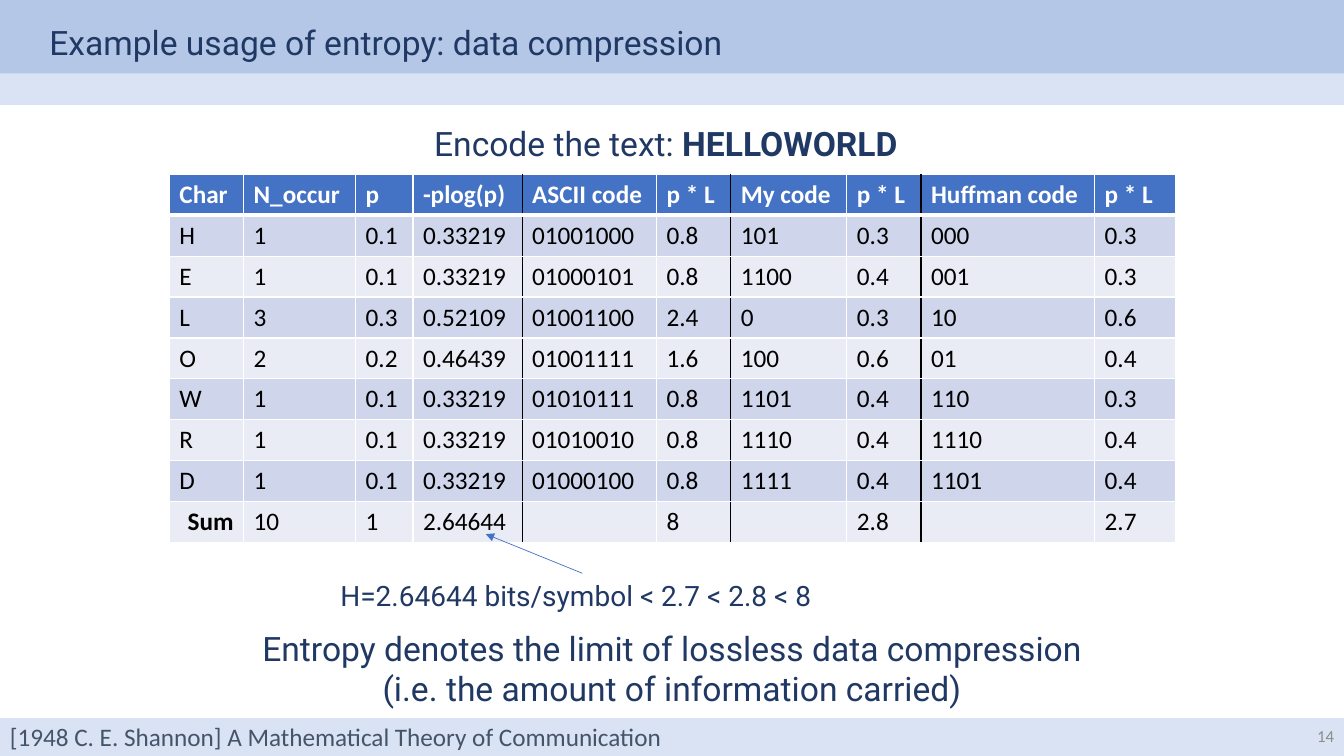
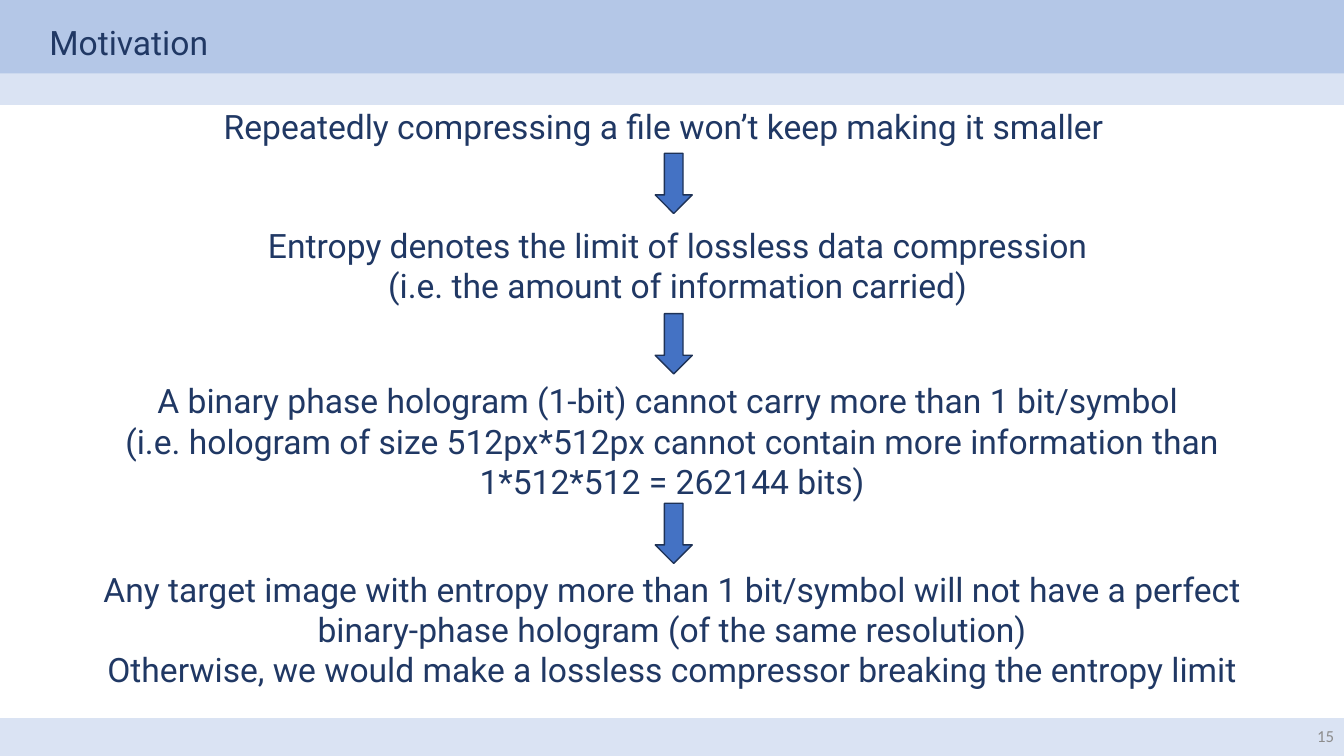
from dataclasses import dataclass

from lxml.etree import SubElement
from pptx import Presentation
from pptx.dml.color import RGBColor as Color
from pptx.enum.shapes import MSO_CONNECTOR as Connector, MSO_SHAPE as Shape
from pptx.enum.text import MSO_ANCHOR as Anchor, MSO_AUTO_SIZE as AutoSize, PP_ALIGN as Align
from pptx.oxml.ns import qn
from pptx.util import Pt


@dataclass(frozen=True)
class Theme:
    band: str = "B4C7E7"
    pale_band: str = "DAE3F3"
    ink: str = "203864"
    accent: str = "4472C4"
    arrow_edge: str = "1E3256"
    odd_row: str = "CFD5EA"
    even_row: str = "E9EBF5"
    white: str = "FFFFFF"
    black: str = "000000"
    number: str = "8C8C8C"
    citation: str = "44546A"
    heading_font: str = "Roboto"
    plain_font: str = "Calibri"
    large: int = 24
    medium: int = 20
    table: int = 18
    small: int = 12


@dataclass(frozen=True)
class Box:
    left: float
    top: float
    width: float
    height: float

    def inner(self, left, top, width, height):
        return Box(self.left + left, self.top + top, width, height)

    def lengths(self):
        return Pt(self.left), Pt(self.top), Pt(self.width), Pt(self.height)


THEME = Theme()
PAGE = Box(0, 0, 960, 540)
BODY = Box(0, 72, 960, 441)
LIMIT = ["Entropy denotes the limit of lossless data compression",
         "(i.e. the amount of information carried)"]

COLUMN_WIDTHS = [53, 80, 41, 78, 96, 53, 83, 53, 124, 58]
GROUP_ENDS = {3, 5, 7}
ROW_HEIGHT = 29.25
CODE_ROWS = [
    ["Char", "N_occur", "p", "-plog(p)", "ASCII code", "p * L", "My code", "p * L",
     "Huffman code", "p * L"],
    ["H", "1", "0.1", "0.33219", "01001000", "0.8", "101", "0.3", "000", "0.3"],
    ["E", "1", "0.1", "0.33219", "01000101", "0.8", "1100", "0.4", "001", "0.3"],
    ["L", "3", "0.3", "0.52109", "01001100", "2.4", "0", "0.3", "10", "0.6"],
    ["O", "2", "0.2", "0.46439", "01001111", "1.6", "100", "0.6", "01", "0.4"],
    ["W", "1", "0.1", "0.33219", "01010111", "0.8", "1101", "0.4", "110", "0.3"],
    ["R", "1", "0.1", "0.33219", "01010010", "0.8", "1110", "0.4", "1110", "0.4"],
    ["D", "1", "0.1", "0.33219", "01000100", "0.8", "1111", "0.4", "1101", "0.4"],
    ["Sum", "10", "1", "2.64644", "", "8", "", "2.8", "", "2.7"],
]

STAGES = [
    (Box(40, 0, 868, 36), ["Repeatedly compressing a file won’t keep making it smaller"]),
    (Box(50, 85, 868, 65), LIMIT),
    (Box(46, 196, 868, 94),
     ["A binary phase hologram (1-bit) cannot carry more than 1 bit/symbol ",
      "(i.e. hologram of size 512px*512px cannot contain more information than "
      "1*512*512 = 262144 bits)"]),
    (Box(50, 330.5, 860, 94),
     ["Any target image with entropy more than 1 bit/symbol will not have a perfect "
      "binary-phase hologram (of the same resolution)",
      "Otherwise, we would make a lossless compressor breaking the entropy limit"]),
]
ARROW_TOPS = [37.5, 152, 287.5]


def add_span(para, text, size=THEME.large, color=THEME.ink, font=THEME.heading_font, bold=False):
    span = para.add_run()
    span.text = text
    span.font.size = Pt(size)
    span.font.name = font
    span.font.bold = bold
    span.font.color.rgb = Color.from_string(color)


def add_text(page, box, lines, align=Align.LEFT, anchor=Anchor.TOP, **style):
    text_box = page.shapes.add_textbox(*box.lengths())
    frame = text_box.text_frame
    frame.word_wrap = True
    frame.vertical_anchor = anchor
    for index, line in enumerate(lines):
        para = frame.add_paragraph() if index else frame.paragraphs[0]
        para.alignment = align
        add_span(para, line, **style)
    return text_box


def add_filled(page, kind, box, fill, edge=None):
    shape = page.shapes.add_shape(kind, *box.lengths())
    shape.shadow.inherit = False
    shape.fill.solid()
    shape.fill.fore_color.rgb = Color.from_string(fill)
    if edge:
        shape.line.color.rgb = Color.from_string(edge)
        shape.line.width = Pt(1)
    else:
        shape.line.fill.background()
    return shape


def add_page(deck, title_text, number):
    page = deck.slides.add_slide(deck.slide_layouts[5])
    title = page.shapes.title
    bands = [(0, 68.5, THEME.band), (513, 27, THEME.pale_band), (52.5, 22.5, THEME.pale_band)]
    for top, height, fill in bands:
        band = add_filled(page, Shape.RECTANGLE, PAGE.inner(0, top, PAGE.width, height), fill)
        title.element.addprevious(band.element)
    title.left, title.top, title.width, title.height = PAGE.inner(28, 12, 900, 36).lengths()
    frame = title.text_frame
    frame.auto_size = AutoSize.NONE
    frame.vertical_anchor = Anchor.TOP
    frame.paragraphs[0].alignment = Align.LEFT
    add_span(frame.paragraphs[0], title_text)
    add_text(page, PAGE.inner(744, 511, 216, 29), [str(number)], Align.RIGHT, Anchor.MIDDLE,
             size=THEME.small, color=THEME.number, font=THEME.plain_font)
    return page


def add_borders(cell, row, column):
    left = THEME.black if column - 1 in GROUP_ENDS else THEME.white
    right = THEME.black if column in GROUP_ENDS else THEME.white
    properties = cell._tc.get_or_add_tcPr()
    for side, color, width in [("L", left, 1), ("R", right, 1),
                               ("T", THEME.white, 3 if row == 1 else 1),
                               ("B", THEME.white, 3 if row == 0 else 1)]:
        line = SubElement(properties, qn(f"a:ln{side}"), w=str(Pt(width)))
        SubElement(SubElement(line, qn("a:solidFill")), qn("a:srgbClr"), val=color)


def add_code_table(page, box):
    table = page.shapes.add_table(len(CODE_ROWS), len(COLUMN_WIDTHS), *box.lengths()).table
    table.horz_banding = False
    for column, width in zip(table.columns, COLUMN_WIDTHS):
        column.width = Pt(width)
    for row, texts in enumerate(CODE_ROWS):
        table.rows[row].height = Pt(ROW_HEIGHT)
        header = row == 0
        fill = THEME.accent if header else THEME.odd_row if row % 2 else THEME.even_row
        for column, text in enumerate(texts):
            cell = table.cell(row, column)
            add_borders(cell, row, column)
            cell.fill.solid()
            cell.fill.fore_color.rgb = Color.from_string(fill)
            para = cell.text_frame.paragraphs[0]
            is_sum = text == "Sum"
            if is_sum:
                para.alignment = Align.RIGHT
            if text:
                add_span(para, text, THEME.table, THEME.white if header else THEME.black,
                         THEME.plain_font, header or is_sum)


def add_pointer(page, source, left, top):
    pointer = page.shapes.add_connector(Connector.STRAIGHT, 0, 0, Pt(left), Pt(top))
    pointer.begin_connect(source, 0)
    pointer.line.color.rgb = Color.from_string(THEME.accent)
    pointer.line.width = Pt(0.5)
    SubElement(pointer.line._get_or_add_ln(), qn("a:tailEnd"), type="triangle")
    SubElement(pointer.element.spPr, qn("a:effectLst"))


def fill_compression(page, box):
    add_code_table(page, box.inner(121, 52.5, sum(COLUMN_WIDTHS), ROW_HEIGHT * len(CODE_ROWS)))
    bound = add_text(page, box.inner(236, 337.5, 360, 32),
                     ["H=2.64644 bits/symbol < 2.7 < 2.8 < 8"], size=THEME.medium)
    add_pointer(page, bound, box.left + 347, box.top + 309.5)
    add_text(page, box.inner(171.5, 373, 617, 65), [" ".join(LIMIT)], Align.CENTER)
    add_text(page, box.inner(0, 440, 740, 29),
             ["[1948 C. E. Shannon] A Mathematical Theory of Communication"],
             size=THEME.table, color=THEME.citation, font=THEME.plain_font)
    task = add_text(page, box.inner(303, 12.5, 370, 36), ["Encode the text: "])
    add_span(task.text_frame.paragraphs[0], "HELLOWORLD", bold=True)


def fill_motivation(page, box):
    for stage, lines in STAGES:
        add_text(page, box.inner(stage.left, stage.top, stage.width, stage.height),
                 lines, Align.CENTER)
    for top in ARROW_TOPS:
        add_filled(page, Shape.DOWN_ARROW, box.inner(468, top, 26.5, 43),
                   THEME.accent, THEME.arrow_edge)


def main():
    deck = Presentation()
    deck.slide_width, deck.slide_height = Pt(PAGE.width), Pt(PAGE.height)
    pages = [("Example usage of entropy: data compression", fill_compression),
             ("Motivation", fill_motivation)]
    for number, (title, fill_page) in enumerate(pages, start=14):
        fill_page(add_page(deck, title, number), BODY)
    deck.save("out.pptx")


if __name__ == "__main__":
    main()
